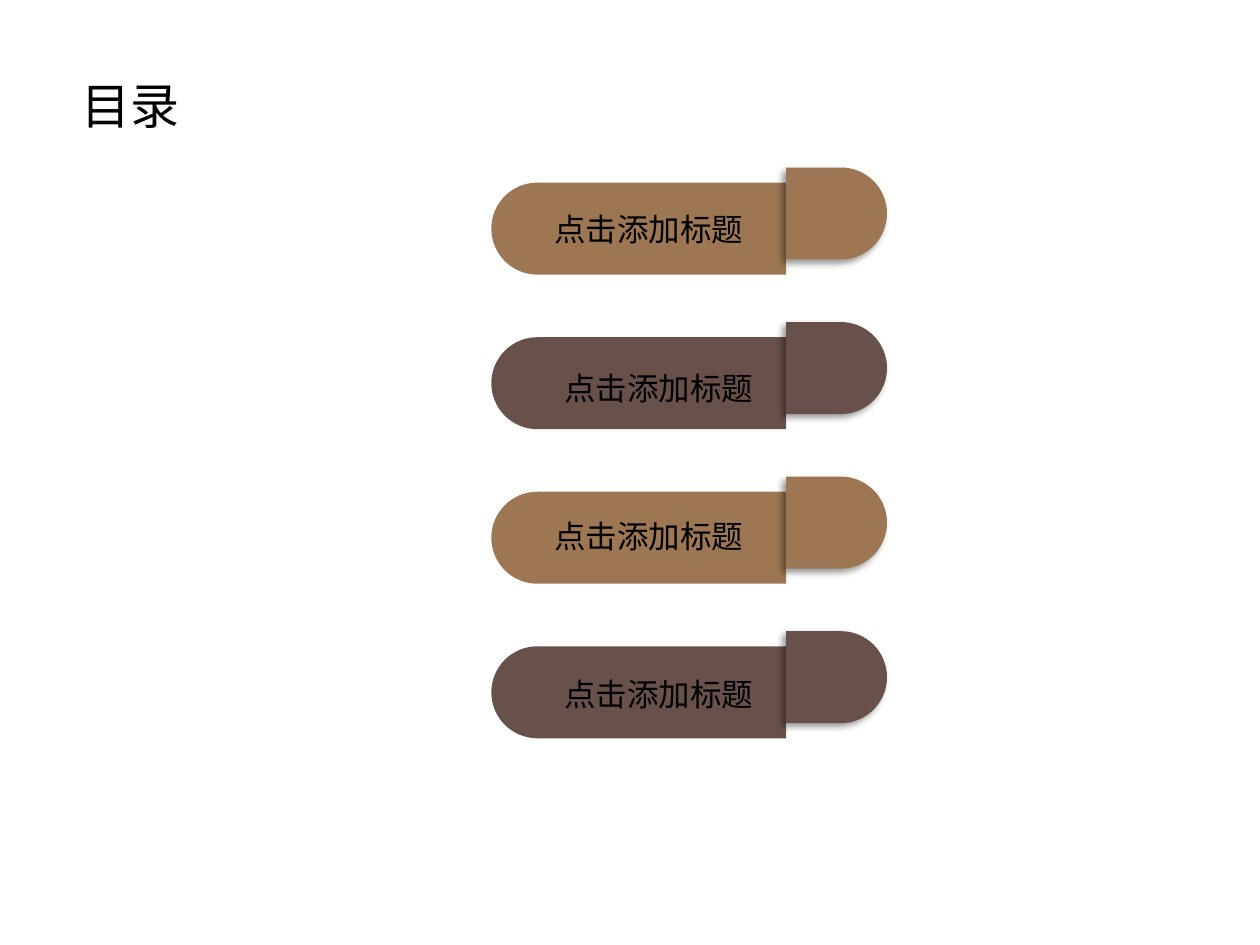
import math

import pptx
import pptx.dml.color
import pptx.enum.text
import pptx.oxml
import pptx.oxml.ns
import pptx.util

Inches = pptx.util.Inches
TAN = pptx.dml.color.RGBColor(0x9D, 0x77, 0x53)
BROWN = pptx.dml.color.RGBColor(0x68, 0x51, 0x4A)
BLACK = pptx.dml.color.RGBColor(0, 0, 0)
FONT = "Noto Sans CJK SC"
STEPS = 32
SHADOW = (
    '<a:effectLst %s><a:outerShdw blurRad="50800" dist="38100" dir="8100000" '
    'algn="tr" rotWithShape="0"><a:srgbClr val="000000"><a:alpha val="40000"/>'
    "</a:srgbClr></a:outerShdw></a:effectLst>" % pptx.oxml.ns.nsdecls("a")
)


def add_text(slide, text, left, top, width, height, size=18, color=BLACK, wrap=False):
    box = slide.shapes.add_textbox(left, top, width, height)
    frame = box.text_frame
    frame.word_wrap = wrap
    frame.auto_size = pptx.enum.text.MSO_AUTO_SIZE.SHAPE_TO_FIT_TEXT
    run = frame.paragraphs[0].add_run()
    run.text = text
    run.font.size = pptx.util.Pt(size)
    run.font.name = FONT
    run.font.color.rgb = color
    east = pptx.oxml.parse_xml(
        '<a:ea %s typeface="%s"/>' % (pptx.oxml.ns.nsdecls("a"), FONT)
    )
    run.font._element.find(pptx.oxml.ns.qn("a:latin")).addnext(east)


def add_tongue(slide, left, top, width, height, color, side, shadow=False):
    radius = height / 2
    flat = left if side > 0 else left + width
    hub = flat + side * (width - radius)
    arc = []
    for step in range(STEPS + 1):
        angle = math.pi * step / STEPS
        x = hub + side * radius * math.sin(angle)
        y = top + radius * (1 - math.cos(angle))
        arc.append((round(x), round(y)))
    path = slide.shapes.build_freeform(flat, top)
    path.add_line_segments(arc + [(flat, top + height)], close=True)
    shape = path.convert_to_shape()
    shape.shadow.inherit = False
    shape.fill.solid()
    shape.fill.fore_color.rgb = color
    shape.line.fill.background()
    if shadow:
        empty = shape._element.spPr.find(pptx.oxml.ns.qn("a:effectLst"))
        empty.getparent().replace(empty, pptx.oxml.parse_xml(SHADOW))


def add_entry(slide, left, top, color, indent, drop):
    bar, tab, height = Inches(2.34), Inches(0.8), Inches(0.73)
    add_tongue(slide, left, top + Inches(0.12), bar, height, color, -1)
    add_tongue(slide, left + bar, top, tab, height, color, 1, shadow=True)
    add_text(slide, "点击添加标题", left + indent, top + drop, Inches(1.72), Inches(0.4))


def add_list(slide, left, top, height):
    drops = (0.29, 0.32, 0.27, 0.3)
    pitch = height / (len(drops) - 1)
    looks = ((TAN, Inches(0.4)), (BROWN, Inches(0.48)))
    for row, drop in enumerate(drops):
        color, indent = looks[row % 2]
        add_entry(slide, left, round(top + row * pitch), color, indent, Inches(drop))


def main():
    deck = pptx.Presentation()
    deck.slide_width, deck.slide_height = Inches(10), Inches(7.5)
    slide = deck.slides.add_slide(deck.slide_layouts[6])
    add_list(slide, Inches(3.9), Inches(1.33), Inches(3.68))
    add_text(
        slide, "目录", Inches(0.55), Inches(0.55), Inches(1.09), Inches(0.57),
        size=28, wrap=True,
    )
    deck.save("out.pptx")


if __name__ == "__main__":
    main()
